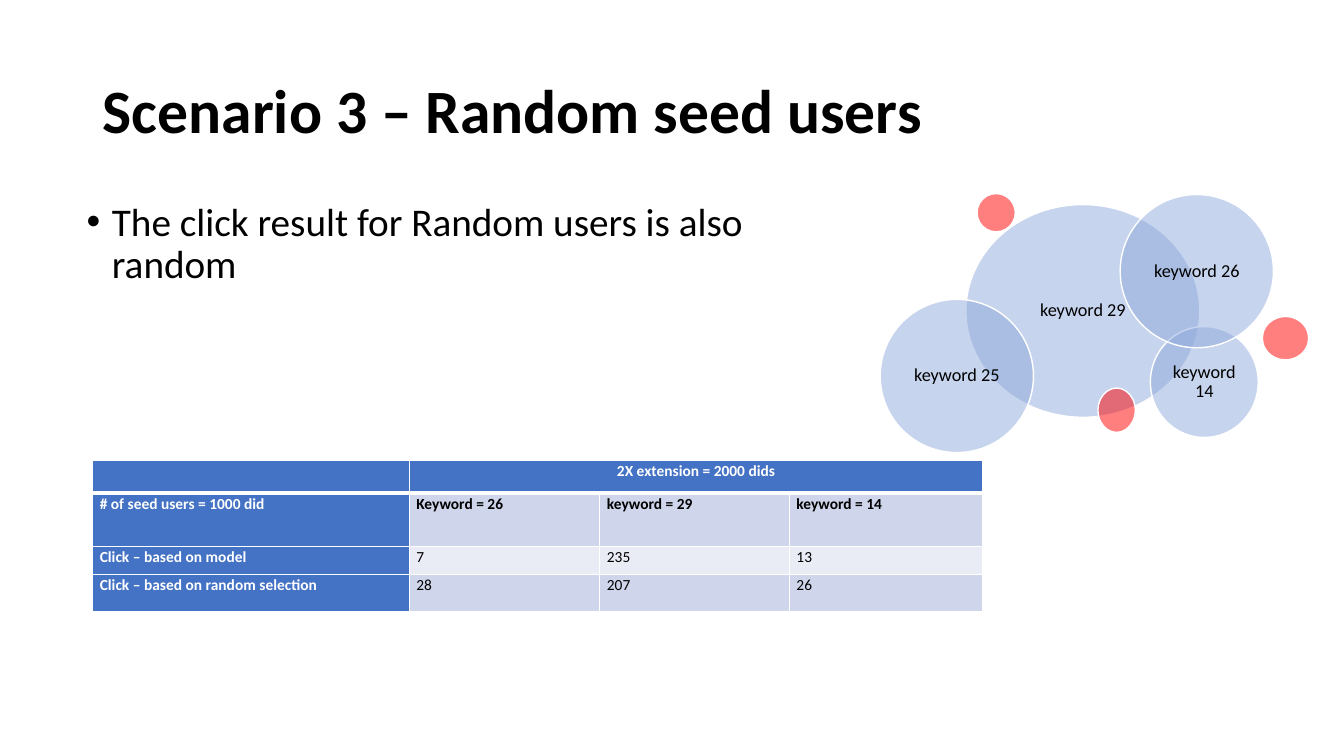
from lxml.etree import SubElement
from pptx import Presentation
from pptx.dml.color import RGBColor
from pptx.enum.shapes import MSO_SHAPE
from pptx.enum.text import MSO_ANCHOR, MSO_AUTO_SIZE, PP_ALIGN
from pptx.oxml.ns import qn
from pptx.util import Inches, Pt

FONT = "Calibri"
BLACK = RGBColor(0x00, 0x00, 0x00)
WHITE = RGBColor(0xFF, 0xFF, 0xFF)
BLUE = RGBColor(0x44, 0x72, 0xC4)
BAND_DARK = RGBColor(0xCF, 0xD5, 0xEA)
BAND_LIGHT = RGBColor(0xE9, 0xEB, 0xF5)
BUBBLE_BLUE = RGBColor(0x8F, 0xAA, 0xDC)
BUBBLE_RED = RGBColor(0xFF, 0x00, 0x00)

COL_WIDTHS = [3.14, 1.89, 1.88, 1.92]
ROW_HEIGHTS = [0.32, 0.53, 0.28, 0.37]
ROWS = [
    ["", "2X extension = 2000 dids", "", ""],
    ["# of seed users = 1000 did", "Keyword = 26", "keyword = 29", "keyword = 14"],
    ["Click – based on model", "7", "235", "13"],
    ["Click – based on random selection", "28", "207", "26"],
]

# left, top, width, height, label, from back to front
KEYWORDS = [
    (9.58, 2.03, 2.32, 2.11, "keyword 29"),
    (11.41, 3.24, 1.07, 1.1, "keyword 14"),
    (11.11, 1.93, 1.52, 1.52, "keyword 26"),
    (8.73, 2.97, 1.52, 1.52, "keyword 25"),
]
RANDOM_USERS = [
    (10.89, 3.85, 0.37, 0.44),
    (9.69, 1.92, 0.38, 0.38),
    (12.52, 3.14, 0.46, 0.43),
]


def add_run(p, text, size, color=BLACK, bold=False):
    r = p.add_run()
    r.text = text
    r.font.name = FONT
    r.font.size = Pt(size)
    r.font.bold = bold
    r.font.color.rgb = color


def set_margins(target, x, y):
    target.margin_left = target.margin_right = Inches(x)
    target.margin_top = target.margin_bottom = Inches(y)


def fill_placeholder(sp, box, text, size, anchor, bold=False):
    sp.left, sp.top, sp.width, sp.height = [Inches(v) for v in box]
    tf = sp.text_frame
    tf.word_wrap = True
    tf.auto_size = MSO_AUTO_SIZE.NONE
    tf.vertical_anchor = anchor
    p = tf.paragraphs[0]
    p.alignment = PP_ALIGN.LEFT
    p.line_spacing = 0.9
    add_run(p, text, size, bold=bold)
    return p


def set_bullet(p, indent):
    pPr = p._p.get_or_add_pPr()
    pPr.set("marL", str(Inches(indent)))
    pPr.set("indent", str(-Inches(indent)))
    SubElement(pPr, qn("a:buFont"), typeface="Arial")
    SubElement(pPr, qn("a:buChar"), char="•")


def set_borders(cell, **widths):
    tcPr = cell._tc.get_or_add_tcPr()
    for side in "LRTB":
        ln = SubElement(tcPr, qn(f"a:ln{side}"), w=str(Pt(widths.get(side, 1))))
        fill = SubElement(ln, qn("a:solidFill"))
        SubElement(fill, qn("a:srgbClr"), val=str(WHITE))


def add_click_table(s, left, top):
    frame = s.shapes.add_table(len(ROWS), len(COL_WIDTHS), Inches(left), Inches(top),
                               Inches(sum(COL_WIDTHS)), Inches(sum(ROW_HEIGHTS)))
    table = frame.table
    for column, width in zip(table.columns, COL_WIDTHS):
        column.width = Inches(width)
    for row, height in zip(table.rows, ROW_HEIGHTS):
        row.height = Inches(height)
    table.cell(0, 1).merge(table.cell(0, 3))

    for i, texts in enumerate(ROWS):
        for j, text in enumerate(texts):
            cell = table.cell(i, j)
            heading = i == 0 or j == 0
            set_margins(cell, 0.07, 0)
            # Thick rule between the header row and the rest
            set_borders(cell, B=3 if i == 0 else 1, T=3 if i == 1 else 1)
            cell.fill.solid()
            band = BAND_DARK if i % 2 else BAND_LIGHT
            cell.fill.fore_color.rgb = BLUE if heading else band
            if text:
                p = cell.text_frame.paragraphs[0]
                p.line_spacing = 1.07
                p.alignment = PP_ALIGN.CENTER if i == 0 else PP_ALIGN.LEFT
                add_run(p, text, 11, WHITE if heading else BLACK, heading or i == 1)


def add_bubble(s, box, color, label=None):
    sp = s.shapes.add_shape(MSO_SHAPE.OVAL, *[Inches(v) for v in box])
    sp.shadow.inherit = False
    sp.fill.solid()
    sp.fill.fore_color.rgb = color
    clr = sp._element.spPr.find(qn("a:solidFill")).find(qn("a:srgbClr"))
    SubElement(clr, qn("a:alpha"), val="50000")
    sp.line.color.rgb = WHITE
    sp.line.width = Pt(1)
    if label:
        tf = sp.text_frame
        tf.word_wrap = True
        tf.vertical_anchor = MSO_ANCHOR.MIDDLE
        set_margins(tf, 0.05, 0.05)
        p = tf.paragraphs[0]
        p.alignment = PP_ALIGN.CENTER
        p.line_spacing = 0.9
        add_run(p, label, 13)


def main():
    prs = Presentation()
    prs.slide_width = Inches(13.33)
    prs.slide_height = Inches(7.5)
    s = prs.slides.add_slide(prs.slide_layouts[1])

    # Title and body
    fill_placeholder(s.shapes.title, (0.92, 0.4, 11.5, 1.45),
                     "Scenario 3 – Random seed users", 44, MSO_ANCHOR.MIDDLE, bold=True)
    p = fill_placeholder(s.placeholders[1], (0.76, 1.96, 7.93, 4.76),
                         "The click result for Random users is also random", 28,
                         MSO_ANCHOR.TOP)
    p.space_before = Pt(10)
    set_bullet(p, 0.25)

    # Click results
    add_click_table(s, 0.92, 4.57)

    # Keyword bubbles and random users
    for *box, label in KEYWORDS:
        add_bubble(s, box, BUBBLE_BLUE, label)
    for box in RANDOM_USERS:
        add_bubble(s, box, BUBBLE_RED)

    prs.save("out.pptx")


main()
